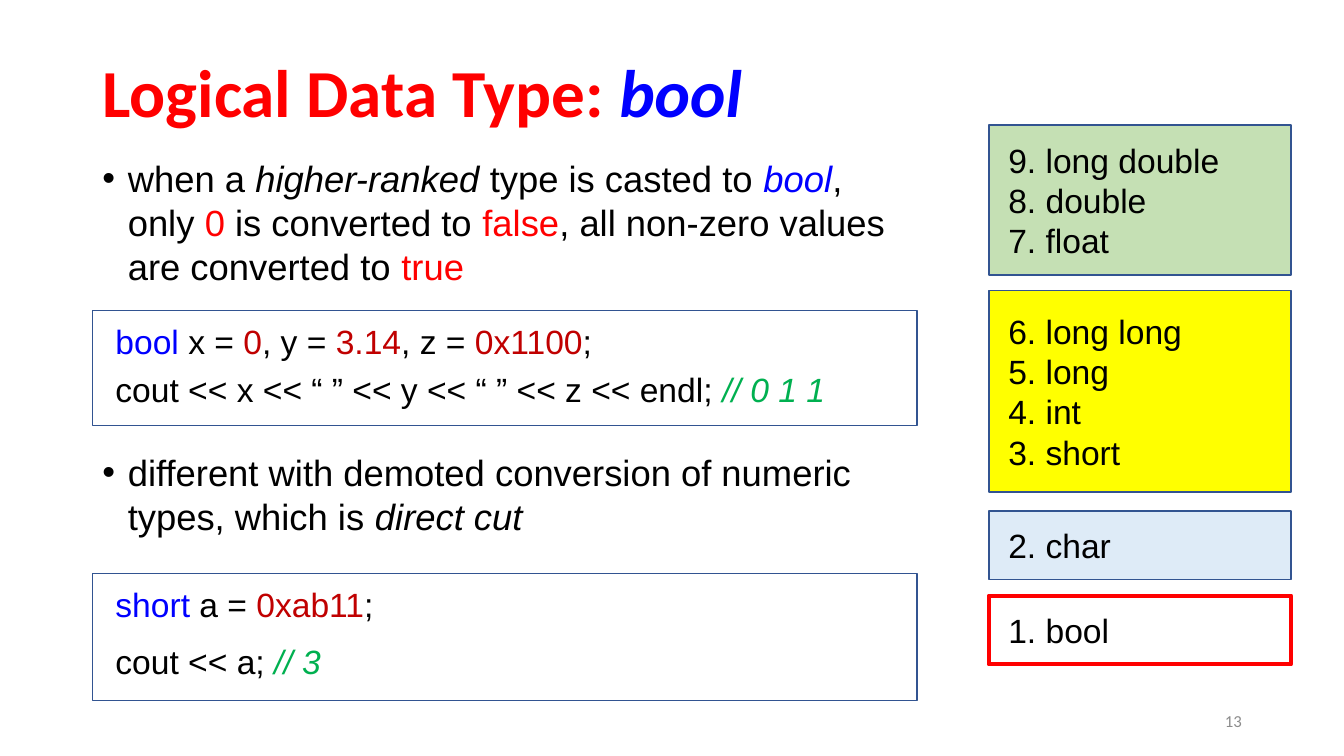
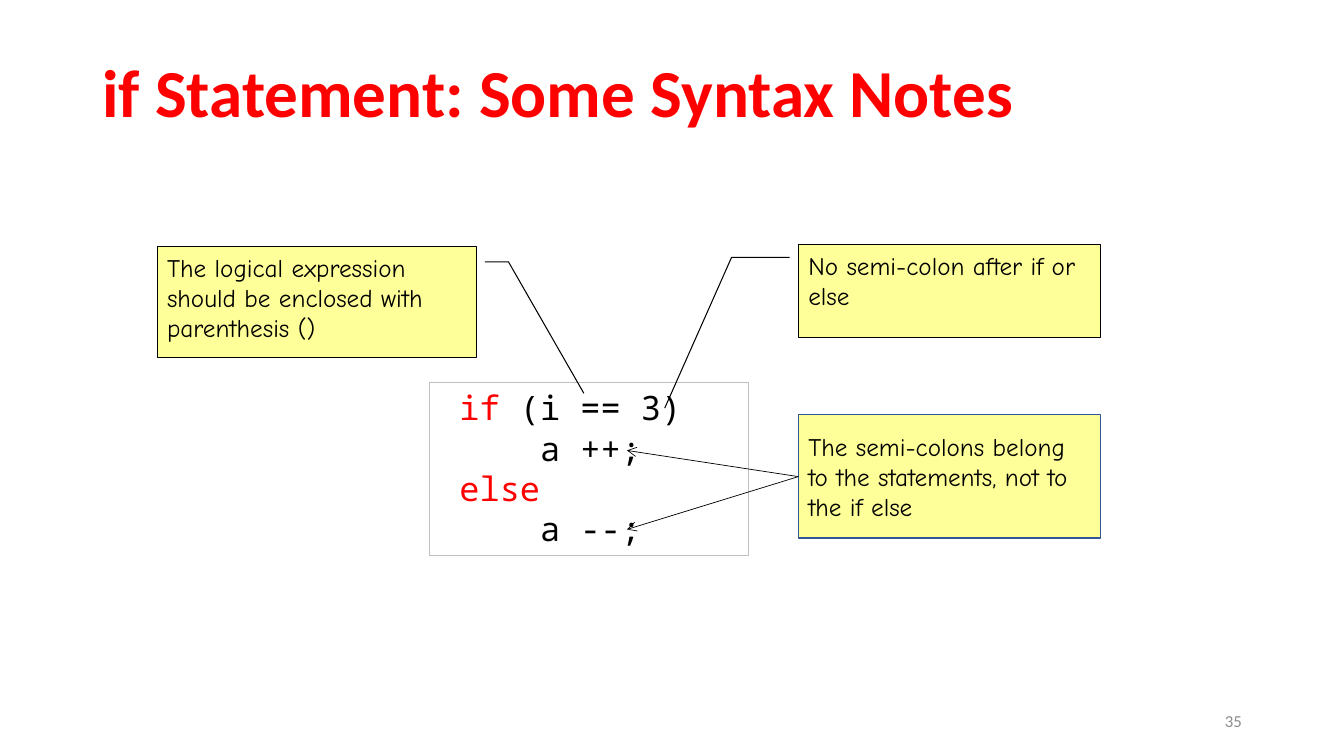
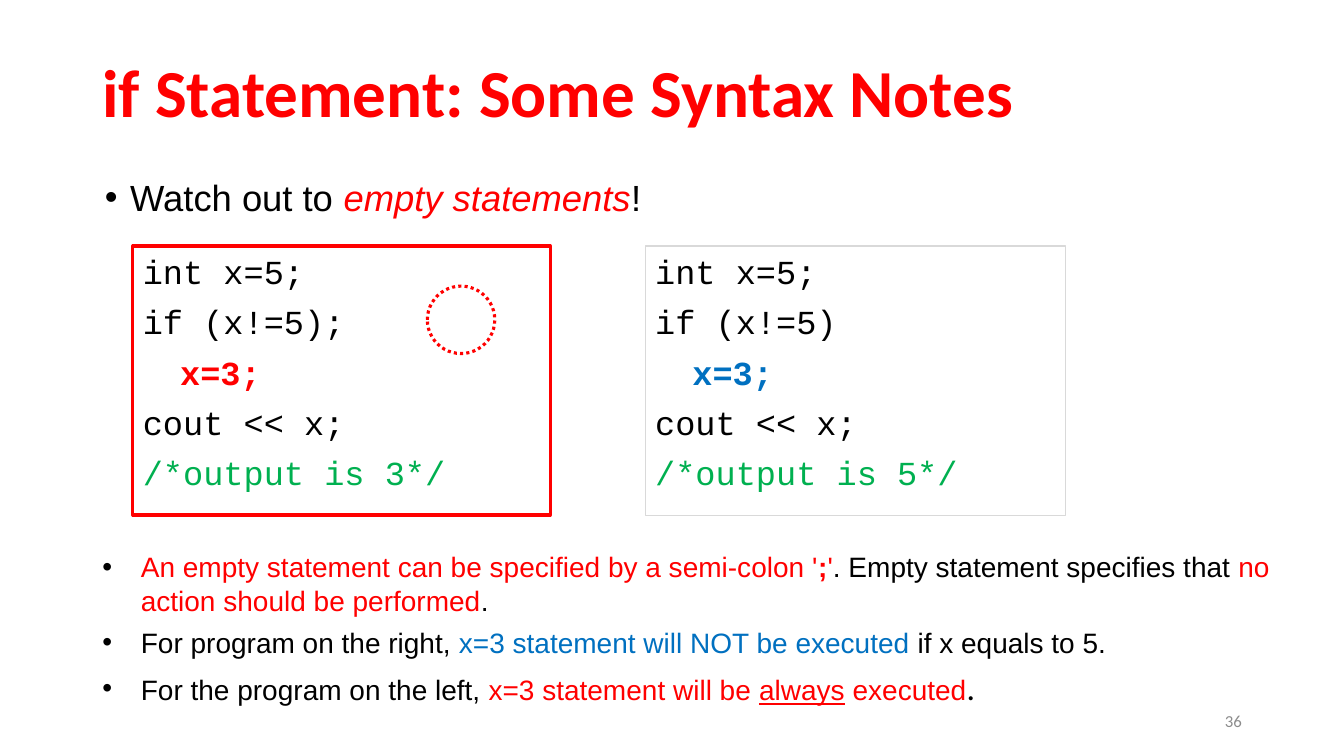
from lxml.etree import SubElement
from pptx import Presentation
from pptx.dml.color import RGBColor
from pptx.enum.dml import MSO_LINE
from pptx.enum.shapes import MSO_CONNECTOR as Connector, MSO_SHAPE as Shape
from pptx.enum.text import MSO_ANCHOR as Anchor, MSO_AUTO_SIZE as AutoSize, PP_ALIGN as Align
from pptx.oxml.ns import qn
from pptx.util import Cm, Pt

COLORS = {
    "black": "000000", "white": "FFFFFF", "red": "FF0000", "blue": "0000FF",
    "dark red": "C00000", "comment": "00B050", "sky": "0070C0", "gray": "8C8C8C",
    "edge": "325491", "silver": "BFBFBF", "pale gray": "D9D9D9", "note": "FFFF99",
    "green": "C5E0B4", "yellow": "FFFF00", "pale blue": "DEEBF7",
}

# Run styles: colour first, then font attributes
RUNS = {
    "plain": ("black", {}),
    "italic": ("black", {"italic": True}),
    "red": ("red", {}),
    "red italic": ("red", {"italic": True}),
    "red bold": ("red", {"bold": True}),
    "red underlined": ("red", {"underline": True}),
    "blue": ("blue", {}),
    "blue italic": ("blue", {"italic": True}),
    "number": ("dark red", {}),
    "comment": ("comment", {}),
    "comment italic": ("comment", {"italic": True}),
    "sky": ("sky", {}),
    "sky bold": ("sky", {"bold": True}),
    "gray": ("gray", {}),
    "full stop": ("black", {"name": "Calibri", "size": Pt(24)}),
}

# Text looks: font, size, gaps in points, indents in centimetres
TITLE = {"font": "Calibri", "size": 48, "bold": True, "spacing": 0.9}
NUMBER = {"font": "Calibri", "size": 12, "align": Align.RIGHT}
BODY = {"font": "Arial", "size": 26, "bullet": True, "indent": 0.64}
DETAIL = {"font": "Arial", "size": 20, "bullet": True, "indent": 0.97, "before": 6}
SANS = {"font": "Arial", "size": 24}
MONO = {"font": "Noto Sans Mono", "size": 24}
COURIER = {"font": "Courier New", "size": 24, "before": 7}
NOTE = {"font": "Comic Neue", "size": 18}


def line(*runs, **changes):
    """One paragraph: runs are plain strings or (text, style), changes adjust the look."""
    pairs = [(run, "plain") if isinstance(run, str) else run for run in runs]
    return pairs, changes


def rgb(name):
    return RGBColor.from_string(COLORS[name])


class Deck:
    def __init__(self):
        self.presentation = Presentation()
        self.presentation.slide_width = Cm(33.87)
        self.presentation.slide_height = Cm(19.05)
        self.slide = None

    def add_slide(self, number, *title, body=False):
        layout = self.presentation.slide_layouts[1 if body else 5]
        self.slide = self.presentation.slides.add_slide(layout)
        self.place(self.slide.shapes.title, (2.33, 1.01, 29.21, 2.79),
                   [line(*title)], TITLE, Anchor.MIDDLE)
        self.text((23.93, 17.65, 7.62, 1.02), [line((str(number), "gray"))],
                  NUMBER, Anchor.MIDDLE)

    def place(self, shape, at, lines, look, anchor=Anchor.TOP):
        shape.left, shape.top, shape.width, shape.height = map(Cm, at)
        self.set_lines(shape.text_frame, lines, look, anchor)

    def body(self, at, lines):
        self.place(self.slide.placeholders[1], at, lines, BODY)

    def text(self, at, lines, look, anchor=Anchor.TOP):
        shape = self.slide.shapes.add_textbox(*map(Cm, at))
        self.set_lines(shape.text_frame, lines, look, anchor)

    def box(self, at, lines=(), look=SANS, anchor=Anchor.TOP, inset=(0.25, 0.13),
            fill=None, edge="edge", weight=1, kind=Shape.RECTANGLE, adjust=(), dash=None):
        shape = self.slide.shapes.add_shape(kind, *map(Cm, at))
        shape.shadow.inherit = False
        for index, value in enumerate(adjust):
            shape.adjustments[index] = value
        if fill:
            shape.fill.solid()
            shape.fill.fore_color.rgb = rgb(fill)
        else:
            shape.fill.background()
        shape.line.color.rgb = rgb(edge)
        shape.line.width = Pt(weight)
        if dash:
            shape.line.dash_style = dash
        if lines:
            self.set_lines(shape.text_frame, lines, look, anchor, inset)

    def arrow(self, start, end):
        connector = self.slide.shapes.add_connector(
            Connector.STRAIGHT, *map(Cm, (*start, *end)))
        connector.line.color.rgb = rgb("black")
        connector.line.width = Pt(0.5)
        properties = connector._element.spPr
        SubElement(properties.find(qn("a:ln")), qn("a:tailEnd"), type="arrow")
        SubElement(properties, qn("a:effectLst"))

    def set_lines(self, frame, lines, look, anchor, inset=(0.25, 0.13)):
        settings = {
            "word_wrap": True, "auto_size": AutoSize.NONE, "vertical_anchor": anchor,
            "margin_left": Cm(inset[0]), "margin_right": Cm(0.25),
            "margin_top": Cm(inset[1]), "margin_bottom": Cm(0.13),
        }
        for name, value in settings.items():
            setattr(frame, name, value)
        for index, (runs, changes) in enumerate(lines):
            paragraph = frame.add_paragraph() if index else frame.paragraphs[0]
            style = {**look, **changes}
            sizes = [RUNS[key][1].get("size", Pt(style["size"])).pt for _, key in runs]
            settings = {
                "alignment": style.get("align", Align.LEFT),
                "line_spacing": style.get("spacing", Pt(1.2 * max(sizes))),
                "space_before": Pt(style.get("before", 0) if index else 0),
                "space_after": Pt(0),
            }
            for name, value in settings.items():
                setattr(paragraph, name, value)
            self.indent(paragraph, style.get("indent", 0), style.get("bullet"))
            for words, key in runs:
                self.add_words(paragraph, words, key, style)

    def indent(self, paragraph, indent, bullet):
        properties = paragraph._p.get_or_add_pPr()
        properties.set("marL", str(Cm(indent)))
        properties.set("indent", str(-Cm(indent) if bullet else 0))
        if bullet:
            color = SubElement(properties, qn("a:buClr"))
            SubElement(color, qn("a:srgbClr"), val=COLORS["black"])
            SubElement(properties, qn("a:buFont"), typeface="Arial")
            SubElement(properties, qn("a:buChar"), char="•")

    def add_words(self, paragraph, words, key, style):
        run = paragraph.add_run()
        run.text = words
        color, extra = RUNS[key]
        settings = {"name": style["font"], "size": Pt(style["size"]),
                    "bold": style.get("bold", False), **extra}
        for name, value in settings.items():
            setattr(run.font, name, value)
        run.font.color.rgb = rgb(color)


def bool_slide(deck):
    deck.add_slide(13, ("Logical Data Type: ", "red"), ("bool", "blue italic"), body=True)
    deck.body((2.33, 3.81, 20.9, 14.38), [
        line("when a ", ("higher-ranked", "italic"), " type is casted to ",
             ("bool", "blue italic"), ", only ", ("0", "red"), " is converted to ",
             ("false", "red"), ", all non-zero values are converted to ", ("true", "red")),
        line("different with demoted conversion of numeric types, which is ",
             ("direct cut", "italic"), before=116.4),
    ])

    # Code examples
    examples = [
        (7.82, 2.9, [
            line(("bool", "blue"), " x = ", ("0", "number"), ", y = ", ("3.14", "number"),
                 ", z =", (" 0x1100", "number"), ";"),
            line("cout << x << “ ” << y << “ ” << z << endl; ",
                 ("// 0 1 1", "comment italic"), before=6)]),
        (14.45, 3.2, [
            line(("short", "blue"), " a = ", ("0xab11", "number"), ";"),
            line("cout << a; ", ("// 3", "comment italic"), before=12)]),
    ]
    for top, height, lines in examples:
        deck.box((2.33, top, 20.78, height), lines, inset=(0.58, 0.26))

    # Type ranks, highest on top
    ranks = [
        (3.15, 3.78, "green", "edge", 1, ["9. long double", "8. double", "7. float"]),
        (7.32, 5.08, "yellow", "edge", 1, ["6. long long", "5. long", "4. int", "3. short"]),
        (12.88, 1.73, "pale blue", "edge", 1, ["2. char"]),
        (15.01, 1.73, "white", "red", 3, ["1. bool"]),
    ]
    for top, height, fill, edge, weight, names in ranks:
        deck.box((24.92, top, 7.62, height), [line(name) for name in names],
                 anchor=Anchor.MIDDLE, inset=(0.49, 0.13),
                 fill=fill, edge=edge, weight=weight)


def syntax_slide(deck):
    deck.add_slide(35, ("if Statement: Some Syntax Notes", "red"))
    deck.box((10.82, 9.63, 8.05, 4.37), [
        line(("if", "red"), " (i == 3)"),
        line("a ++;", indent=2.03),
        line(("else", "red")),
        line("a --;", indent=2.03),
    ], MONO, inset=(0.76, 0.13), edge="silver", weight=0.75)

    # Notes with leader lines
    callouts = [
        ((3.96, 6.22, 8.05, 2.79), (0.136, 1.026, 0.136, 1.1, 1.323, 1.336),
         "The logical expression should be enclosed with parenthesis ()"),
        ((20.12, 6.17, 7.62, 2.34), (0.136, -0.029, 0.136, -0.221, 1.759, -0.442),
         "No semi-colon after if or else"),
    ]
    for at, adjust, words in callouts:
        deck.box(at, [line(words)], NOTE, fill="note", edge="black", weight=0.75,
                 kind=Shape.LINE_CALLOUT_2, adjust=adjust)

    # Note with arrows to both semi-colons
    deck.box((20.12, 10.44, 7.62, 3.12),
             [line("The semi-colons belong to the statements, not to the if else")],
             NOTE, Anchor.MIDDLE, fill="note")
    for height in (11.35, 13.34):
        deck.arrow((20.12, 12.01), (15.8, height))


def empty_statement_slide(deck):
    deck.add_slide(36, ("if Statement: Some Syntax Notes", "red"), body=True)
    deck.body((2.39, 4.29, 31.06, 12.8), [
        line("Watch out to ", ("empty statements", "red italic"), "!")])

    # Wrong and right program side by side
    programs = [
        (3.35, 10.52, "red", 2.25, "if (x!=5);", "red bold", 3),
        (16.26, 10.59, "pale gray", 0.75, "if (x!=5)", "sky bold", 5),
    ]
    for left, width, edge, weight, condition, style, output in programs:
        deck.box((left, 6.2, width, 6.78), [
            line("int x=5;"),
            line(condition),
            line(("x=3;", style), indent=0.94),
            line("cout << x;"),
            line((f"/*output is {output}*/", "comment")),
        ], COURIER, edge=edge, weight=weight)
    deck.box((10.77, 7.21, 1.7, 1.7), edge="red", weight=2.25,
             kind=Shape.OVAL, dash=MSO_LINE.ROUND_DOT)

    # Explanation
    deck.text((2.33, 13.72, 30.23, 4.29), [
        line(("An empty statement can be specified by a semi-colon '", "red"),
             (";", "red bold"), ("'", "red"), ". Empty statement specifies that ",
             ("no action should be performed", "red"), "."),
        line("For program on the right, ", ("x=3 statement will NOT be executed", "sky"),
             " if x equals to 5."),
        line("For the program on the left, ", ("x=3 statement will be ", "red"),
             ("always", "red underlined"), (" executed", "red"), (".", "full stop")),
    ], DETAIL)


def main():
    deck = Deck()
    for build in (bool_slide, syntax_slide, empty_statement_slide):
        build(deck)
    deck.presentation.save("out.pptx")


if __name__ == "__main__":
    main()
